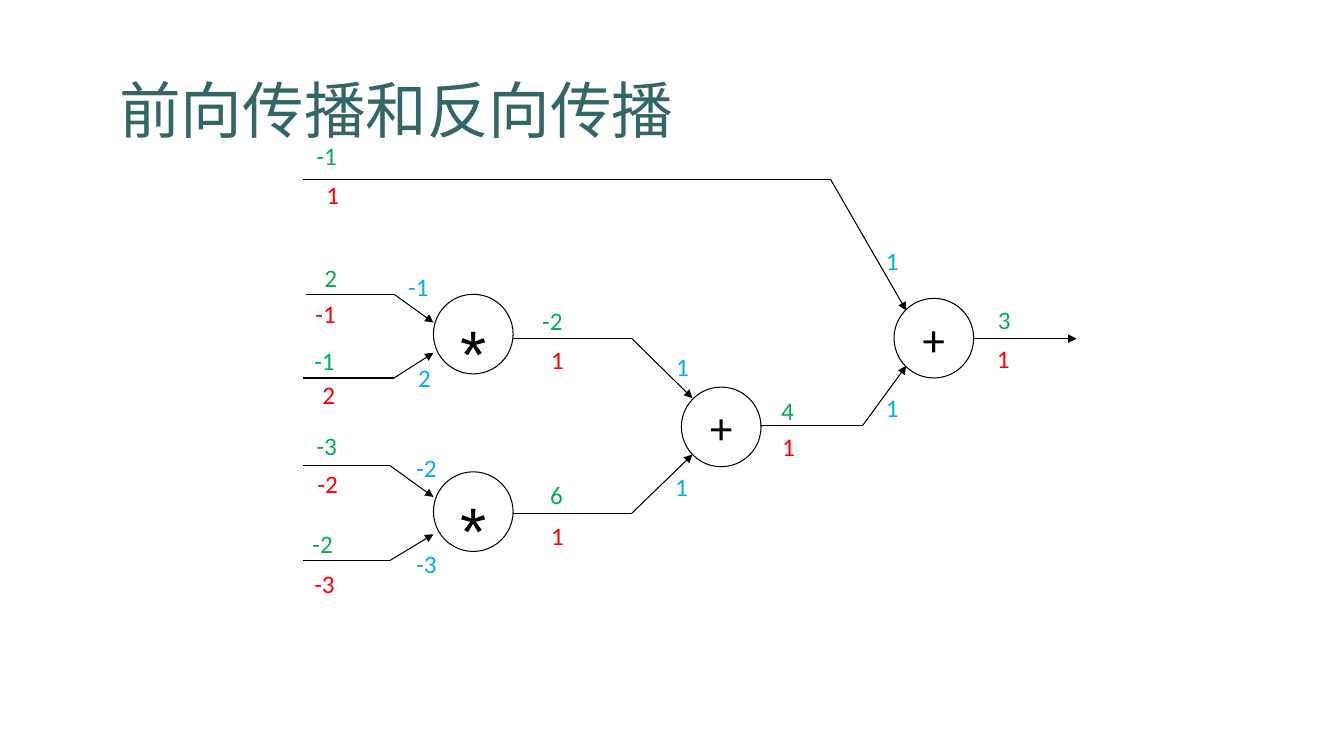
"""Builds a slide showing forward and backward propagation through a computation graph."""
import itertools

import lxml.etree
import pptx
import pptx.dml.color
import pptx.enum.shapes
import pptx.enum.text
import pptx.oxml.ns
import pptx.util

Pt = pptx.util.Pt
Anchor = pptx.enum.text.MSO_ANCHOR
Align = pptx.enum.text.PP_ALIGN

TITLE = "336666"
INK = "000000"
FORWARD = "00B050"
LOCAL = "00B0F0"
BACKWARD = "FF0000"
NODE_SIZE = 56.9

NODES = [
    (309.6, 210.2, "*"),
    (309.6, 337, "*"),
    (486.7, 276.5, "+"),
    (638.6, 213.1, "+"),
]

WIRES = [
    [(216.7, 128.2), (593.3, 128.2), (647.3, 221.8)],
    [(218.9, 210.2), (281.5, 210.2), (309.6, 230.4)],
    [(216.7, 270), (281.5, 270), (309.6, 252)],
    [(216.7, 332.6), (278.6, 332.6), (309.6, 355)],
    [(216.7, 400.3), (278.6, 400.3), (309.6, 381.6)],
    [(366.5, 241.9), (451.4, 241.9), (494.6, 284.4)],
    [(366.5, 366.5), (451.4, 366.5), (494.6, 324.7)],
    [(542.9, 303.8), (616.3, 303.8), (647.3, 261.4)],
    [(695.5, 241.9), (769, 241.9)],
]

LABELS = {
    FORWARD: [
        (218.9, 96.5, "-1"), (224.6, 183.6, "2"), (217.4, 243.4, "-1"),
        (218.9, 303.8, "-3"), (216, 373.7, "-2"), (380.2, 214.6, "-2"),
        (385.9, 339.1, "6"), (550.8, 278.6, "4"), (705.6, 213.8, "3", 63.4),
    ],
    LOCAL: [
        (284.4, 190.1, "-1"), (291.6, 255.6, "2"), (290.2, 319.7, "-2"),
        (290.2, 388.1, "-3"), (475.9, 247.7, "1"), (475.2, 333.4, "1"),
        (625.7, 171.4, "1"), (625.7, 276.5, "1"),
    ],
    BACKWARD: [
        (226.1, 124.6, "1"), (218.2, 209.5, "-1"), (223.2, 267.1, "2"),
        (219.6, 331.2, "-2"), (217.4, 402.5, "-3"), (386.6, 242.6, "1"),
        (386.6, 367.9, "1"), (551.5, 304.6, "1"), (704.9, 241.9, "1"),
    ],
}


def colour(value):
    """Turn a hex string into a colour."""
    return pptx.dml.color.RGBColor.from_string(value)


class GraphPage:
    """Holds the style and the current slide of the graph."""

    def __init__(self, page):
        """Keep the page and its line width."""
        self.page = page
        self.line_width = Pt(0.75)

    def fill_text(self, box, text, size, font, ink, align=Align.LEFT):
        """Put one formatted paragraph into a box."""
        box.text_frame.text = text
        para = box.text_frame.paragraphs[0]
        para.alignment = align
        for span in para.runs:
            span.font.size = Pt(size)
            span.font.name = font
            span.font.color.rgb = colour(ink)
        return para

    def stroke(self, line):
        """Apply the common outline."""
        line.color.rgb = colour(INK)
        line.width = self.line_width

    def title(self, text):
        """Place and fill the title placeholder."""
        box = self.page.shapes.title
        box.left, box.top, box.width, box.height = Pt(66.2), Pt(28.8), Pt(828), Pt(104.4)
        box.text_frame.vertical_anchor = Anchor.MIDDLE
        box.text_frame.margin_left = Pt(19)
        self.fill_text(box, text, 44, "Arial", TITLE).line_spacing = 0.9

    def node(self, left, top, sign):
        """Draw an operator circle."""
        circle = self.page.shapes.add_shape(
            pptx.enum.shapes.MSO_SHAPE.OVAL, Pt(left), Pt(top), Pt(NODE_SIZE), Pt(NODE_SIZE))
        circle.shadow.inherit = False
        circle.fill.background()
        self.stroke(circle.line)
        product = sign == "*"
        circle.text_frame.vertical_anchor = Anchor.TOP if product else Anchor.MIDDLE
        size, font = (48, "Arial") if product else (32, "Calibri")
        self.fill_text(circle, sign, size, font, INK, Align.CENTER)

    def wire(self, points):
        """Join the points with lines and end in an arrowhead."""
        for start, end in itertools.pairwise(points):
            segment = self.page.shapes.add_connector(
                pptx.enum.shapes.MSO_CONNECTOR.STRAIGHT, *map(Pt, start + end))
            self.stroke(segment.line)
            properties = segment._element.spPr
            lxml.etree.SubElement(properties, pptx.oxml.ns.qn("a:effectLst"))
        outline = properties.get_or_add_ln()
        lxml.etree.SubElement(outline, pptx.oxml.ns.qn("a:tailEnd"), type="triangle")

    def label(self, ink, left, top, text, width=39.6):
        """Place a value beside a wire."""
        box = self.page.shapes.add_textbox(Pt(left), Pt(top), Pt(width), Pt(28.8))
        box.text_frame.word_wrap = True
        box.text_frame.auto_size = pptx.enum.text.MSO_AUTO_SIZE.SHAPE_TO_FIT_TEXT
        self.fill_text(box, text, 18, "Calibri", ink)


def main():
    """Build and save the deck."""
    deck = pptx.Presentation()
    deck.slide_width, deck.slide_height = Pt(960), Pt(540)
    graph = GraphPage(deck.slides.add_slide(deck.slide_layouts[5]))
    graph.title("前向传播和反向传播")
    for node in NODES:
        graph.node(*node)
    for points in WIRES:
        graph.wire(points)
    for ink, labels in LABELS.items():
        for label in labels:
            graph.label(ink, *label)
    deck.save("out.pptx")


if __name__ == "__main__":
    main()
